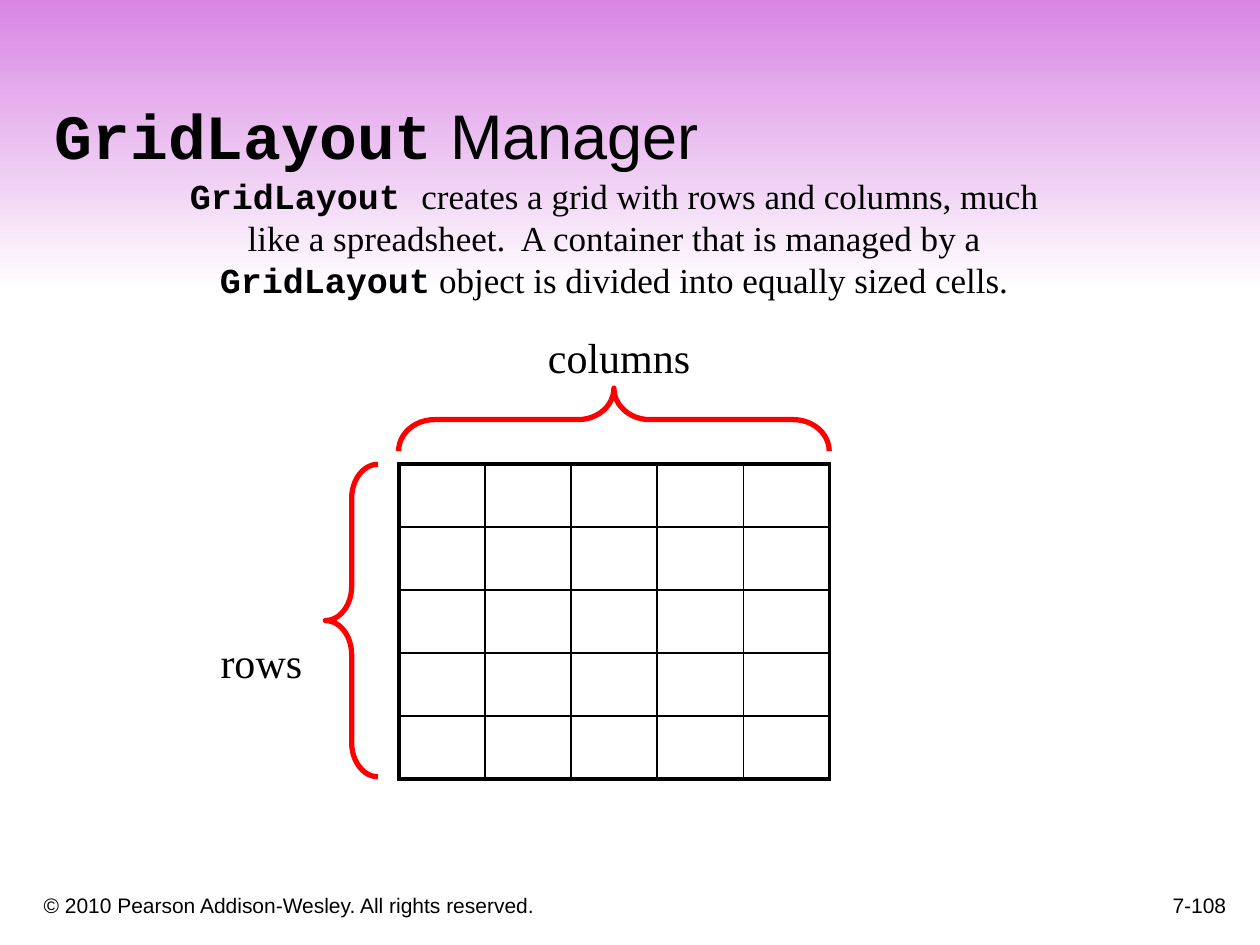
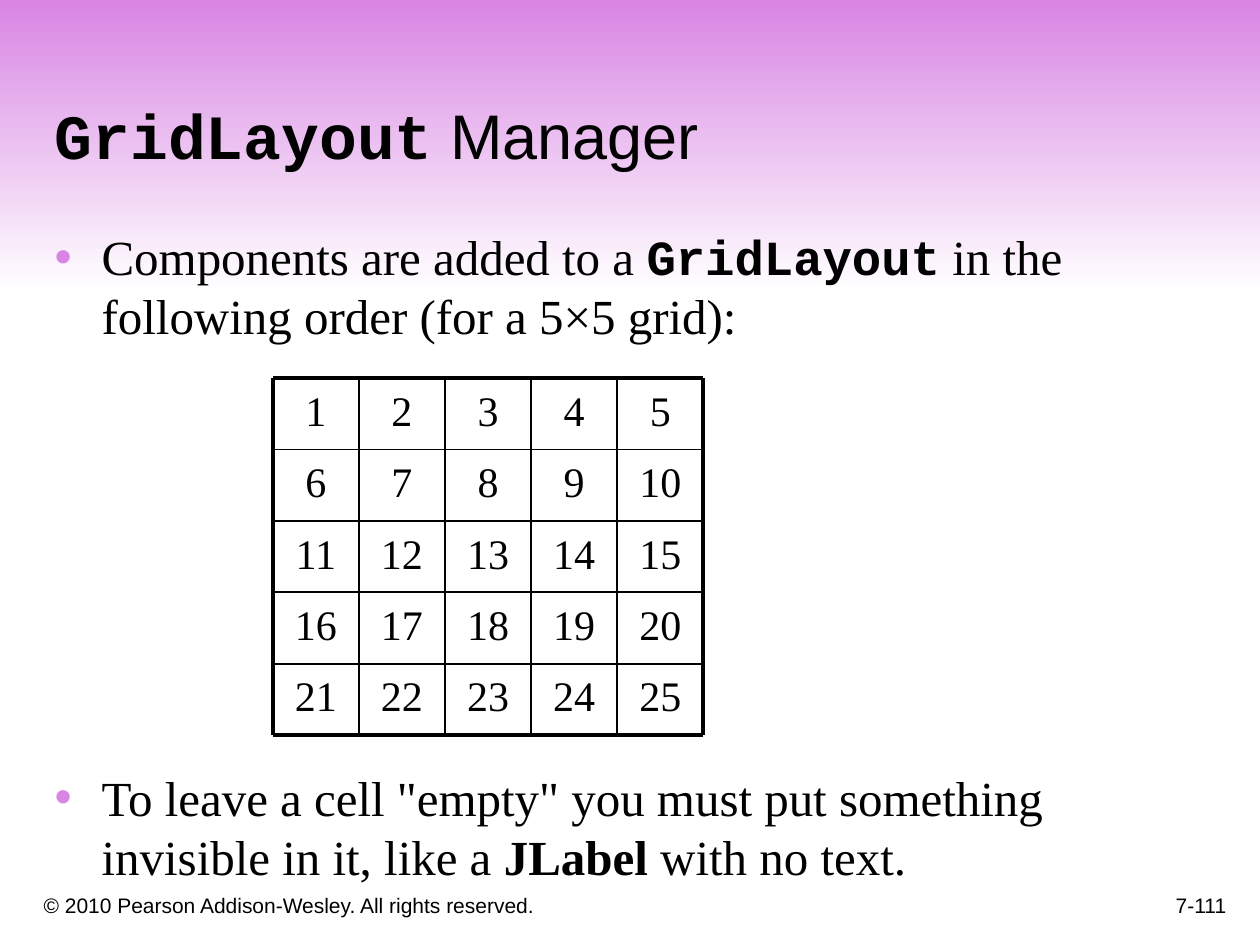
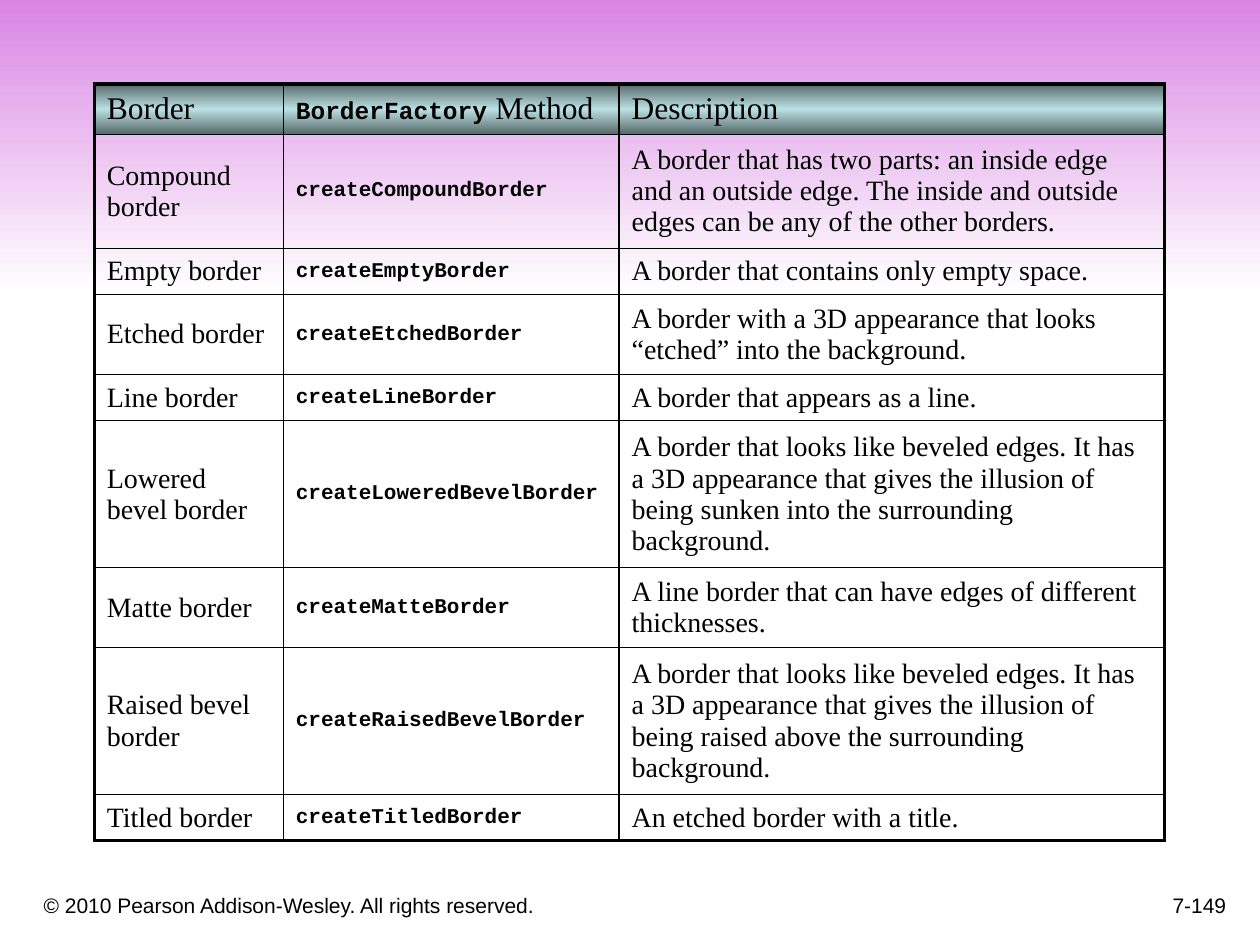
from lxml import etree
from pptx import Presentation
from pptx import util as u
from pptx.dml import color
from pptx.enum import shapes, text
from pptx.oxml import ns

Cm, Pt = u.Cm, u.Pt
BLACK, RED, ORCHID, WHITE = "000000", "FF0000", "D885E3", "FFFFFF"
TEAL, DARK_TEAL = "BBE0E3", "576869"
SANS, SERIF, MONO = "Arial", "Times New Roman", "Courier New"
LEFT, CENTER, RIGHT = text.PP_ALIGN.LEFT, text.PP_ALIGN.CENTER, text.PP_ALIGN.RIGHT
TOP, MIDDLE, BOTTOM = (text.MSO_ANCHOR.TOP, text.MSO_ANCHOR.MIDDLE,
                       text.MSO_ANCHOR.BOTTOM)
TITLE_ONLY, BLANK = 5, 6
THICK, THIN = Pt(2.25), Pt(1)
GRID_SIZE = 5
GRID_WIDTH = 8.68
TITLE = "`GridLayout` Manager"
COPYRIGHT = "© 2010 Pearson Addison-Wesley. All rights reserved."

BORDER_HEADS = ["Border", "`BorderFactory` Method", "Description"]
BORDERS = [
    ("Compound border", "createCompoundBorder",
     "A border that has two parts: an inside edge and an outside edge. "
     "The inside and outside edges can be any of the other borders."),
    ("Empty border", "createEmptyBorder",
     "A border that contains only empty space."),
    ("Etched border", "createEtchedBorder",
     "A border with a 3D appearance that looks “etched” into the background."),
    ("Line border", "createLineBorder", "A border that appears as a line."),
    ("Lowered bevel border", "createLoweredBevelBorder",
     "A border that looks like beveled edges. It has a 3D appearance that gives "
     "the illusion of being sunken into the surrounding background."),
    ("Matte border", "createMatteBorder",
     "A line border that can have edges of different thicknesses."),
    ("Raised bevel border", "createRaisedBevelBorder",
     "A border that looks like beveled edges. It has a 3D appearance that gives "
     "the illusion of being raised above the surrounding background."),
    ("Titled border", "createTitledBorder", "An etched border with a title."),
]
BORDER_HEIGHTS = [1.01, 2.3, 0.93, 1.61, 0.93, 2.96, 1.61, 2.96, 0.93]


def rgb(value):
    return color.RGBColor.from_string(value)


def add_xml(parent, tag, **attrs):
    return etree.SubElement(parent, ns.qn(tag), attrs)


def set_gradient(fill, element, colors):
    fill.gradient()
    fill.gradient_angle = 270
    stops = element.find(".//" + ns.qn("a:gsLst"))
    stops.clear()
    for i, value in enumerate(colors):
        stop = add_xml(stops, "a:gs", pos=str(100000 * i // (len(colors) - 1)))
        add_xml(stop, "a:srgbClr", val=value)


def write(p, content, size=18, font=SERIF, code_font=MONO, code_size=None, align=LEFT):
    p.alignment = align
    for i, part in enumerate(content.split("`")):
        if not part:
            continue
        is_code = i % 2 == 1
        r = p.add_run()
        r.text = part
        r.font.name = code_font if is_code else font
        r.font.size = Pt(code_size or size if is_code else size)
        r.font.bold = is_code
        r.font.color.rgb = rgb(BLACK)


def add_text(s, x, y, w, h, content, anchor=TOP, wrap=True, **style):
    tf = s.shapes.add_textbox(Cm(x), Cm(y), Cm(w), Cm(h)).text_frame
    tf.word_wrap = wrap
    tf.vertical_anchor = anchor
    write(tf.paragraphs[0], content, **style)


def add_bullet(p):
    pPr = p._p.get_or_add_pPr()
    pPr.set("marL", str(Cm(0.95)))
    pPr.set("indent", str(-Cm(0.95)))
    add_xml(add_xml(pPr, "a:buClr"), "a:srgbClr", val=ORCHID)
    add_xml(pPr, "a:buFont", typeface=SANS)
    add_xml(pPr, "a:buChar", char="•")


def add_bullets(s, x, y, w, h, items, gap, size):
    tf = s.shapes.add_textbox(Cm(x), Cm(y), Cm(w), Cm(h)).text_frame
    tf.word_wrap = True
    tf.margin_right = 0
    for i, (item, code_font) in enumerate(items):
        p = tf.add_paragraph() if i else tf.paragraphs[0]
        if i:
            p.space_before = Pt(gap)
        add_bullet(p)
        write(p, item, size=size, code_font=code_font)


def add_brace(s, x, y, w, h, curve, rotation=0):
    sp = s.shapes.add_shape(shapes.MSO_SHAPE.LEFT_BRACE, Cm(x), Cm(y), Cm(w), Cm(h))
    sp.adjustments[0] = curve
    sp.rotation = rotation
    sp.shadow.inherit = False
    sp.fill.background()
    sp.line.color.rgb = rgb(RED)
    sp.line.width = Pt(3)


def add_line(s, x1, y1, x2, y2, width):
    line = s.shapes.add_connector(shapes.MSO_CONNECTOR.STRAIGHT,
                                  Cm(x1), Cm(y1), Cm(x2), Cm(y2))
    line.line.color.rgb = rgb(BLACK)
    line.line.width = width
    add_xml(line.element.spPr, "a:effectLst")


def add_numbered_grid(s, x, y, w, h, count):
    cell_w, cell_h = w / count, h / count
    for i in range(count * count):
        row, col = divmod(i, count)
        add_text(s, x + col * cell_w, y + row * cell_h, cell_w, cell_h, str(i + 1),
                 size=24, align=CENTER)
    for i in range(count + 1):
        width = THICK if i in (0, count) else THIN
        add_line(s, x, y + i * cell_h, x + w, y + i * cell_h, width)
        add_line(s, x + i * cell_w, y, x + i * cell_w, y + h, width)


def set_borders(cell, outer):
    tcPr = cell._tc.get_or_add_tcPr()
    for side in "LRTB":
        width = THICK if side in outer else THIN
        ln = add_xml(tcPr, "a:ln" + side, w=str(width))
        add_xml(add_xml(ln, "a:solidFill"), "a:srgbClr", val=BLACK)


def add_grid(s, x, y, widths, heights):
    frame = s.shapes.add_table(len(heights), len(widths), Cm(x), Cm(y),
                               Cm(sum(widths)), Cm(sum(heights)))
    table = frame.table
    table.first_row = table.horz_banding = False
    for column, width in zip(table.columns, widths):
        column.width = Cm(width)
    for row, height in zip(table.rows, heights):
        row.height = Cm(height)
    last_row, last_col = len(heights) - 1, len(widths) - 1
    for i, row in enumerate(table.rows):
        for j, cell in enumerate(row.cells):
            edges = {"L": j == 0, "R": j == last_col, "T": i == 0, "B": i == last_row}
            set_borders(cell, [side for side in edges if edges[side]])
            cell.fill.background()
            cell.vertical_anchor = MIDDLE
    return table


def write_cell(cell, content, **style):
    write(cell.text_frame.paragraphs[0], content, **style)


def add_band(s):
    sp = s.shapes.add_shape(shapes.MSO_SHAPE.PENTAGON, 0, Cm(-0.03), Cm(25.4), Cm(5.92))
    sp.adjustments[0] = 0
    sp.shadow.inherit = False
    sp.line.fill.background()
    set_gradient(sp.fill, sp.element, [ORCHID, WHITE])
    s.shapes.element.insert(2, sp.element)


def add_slide(prs, number, title=None):
    s = prs.slides.add_slide(prs.slide_layouts[TITLE_ONLY if title else BLANK])
    s.background.fill.solid()
    s.background.fill.fore_color.rgb = rgb(WHITE)
    add_band(s)
    add_text(s, 0.63, 17.56, 15.44, 1.07, COPYRIGHT, anchor=BOTTOM, size=12, font=SANS)
    add_text(s, 19.69, 17.35, 5.28, 1.27, number, anchor=BOTTOM, size=12, font=SANS,
             align=RIGHT)
    if title:
        sp = s.shapes.title
        sp.left, sp.top, sp.width, sp.height = Cm(0.85), Cm(0.84), Cm(23.93), Cm(2.75)
        tf = sp.text_frame
        tf.auto_size = text.MSO_AUTO_SIZE.NONE
        tf.vertical_anchor = BOTTOM
        write(tf.paragraphs[0], title, size=36, font=SANS)
    return s


def build_layout_slide(prs):
    s = add_slide(prs, "7-108", TITLE)
    add_text(s, 3.39, 3.4, 17.99, 2.79,
             "`GridLayout `creates a grid with rows and columns, much like a "
             "spreadsheet.  A container that is managed by a `GridLayout` object "
             "is divided into equally sized cells.", size=20, align=CENTER)
    add_grid(s, 8.04, 9.35, [GRID_WIDTH / GRID_SIZE] * GRID_SIZE, [1.27] * GRID_SIZE)
    add_brace(s, 11.74, 4.12, 1.27, 8.68, 0.57, rotation=90)
    add_brace(s, 6.56, 9.36, 1.06, 6.3, 0.65)
    for x, y, w, label in [(10.79, 6.56, 3.38, "columns"), (4.19, 12.7, 2.16, "rows")]:
        add_text(s, x, y, w, 1.27, label, wrap=False, size=24, align=CENTER)


def build_order_slide(prs):
    s = add_slide(prs, "7-111", TITLE)
    add_numbered_grid(s, 5.5, 7.62, GRID_WIDTH, 7.2, GRID_SIZE)
    add_bullets(s, 0.85, 4.45, 23.04, 14.17, [
        ("Components are added to a `GridLayout` in the following order "
         "(for a 5×5 grid):", MONO),
        ('To leave a cell "empty" you must put something invisible in it, '
         "like a `JLabel` with no text.", SERIF)], gap=241.5, size=28)


def build_borders_slide(prs):
    s = add_slide(prs, "7-149")
    table = add_grid(s, 1.9, 1.69, [3.81, 6.77, 11], BORDER_HEIGHTS)
    for cell, head in zip(table.rows[0].cells, BORDER_HEADS):
        write_cell(cell, head, code_size=14)
        set_gradient(cell.fill, cell._tc, [DARK_TEAL, TEAL, DARK_TEAL])
    for i, (border, method, description) in enumerate(BORDERS, 1):
        write_cell(table.cell(i, 0), border, size=16)
        write_cell(table.cell(i, 1), f"`{method}`", size=12)
        write_cell(table.cell(i, 2), description, size=16)


def main():
    prs = Presentation()
    prs.slide_width, prs.slide_height = Cm(25.4), Cm(19.05)
    build_layout_slide(prs)
    build_order_slide(prs)
    build_borders_slide(prs)
    prs.save("out.pptx")


if __name__ == "__main__":
    main()
